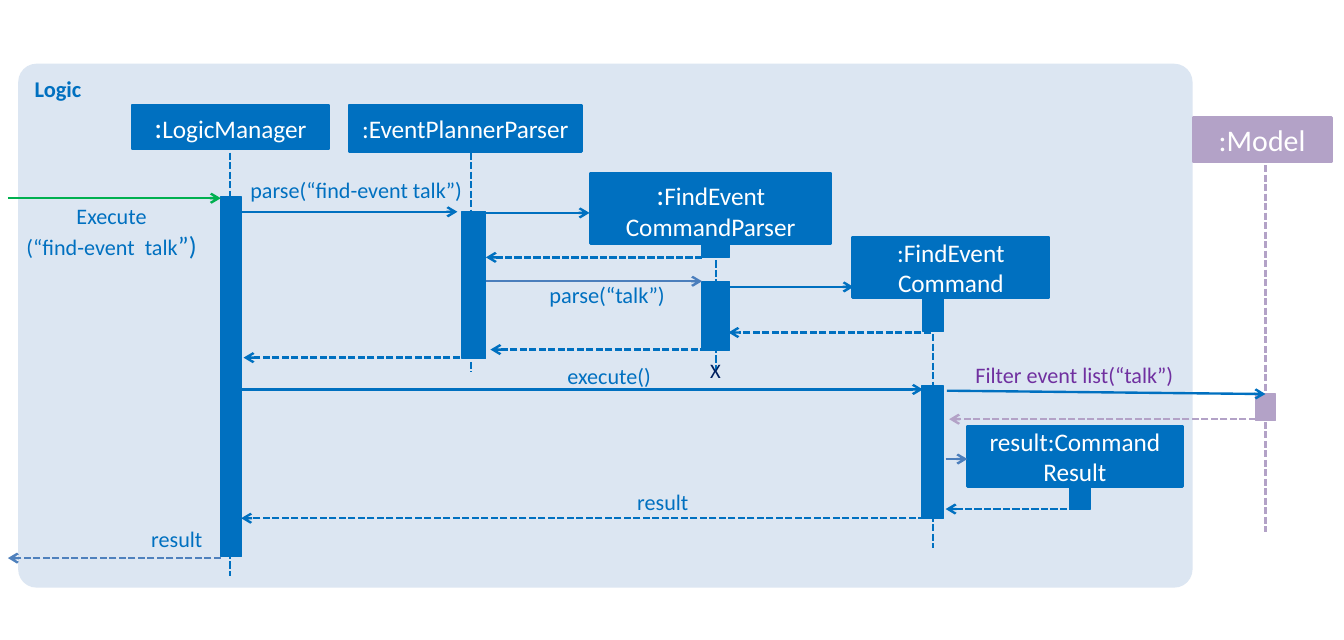
"""Build a sequence diagram slide for the find-event command."""
from lxml.etree import SubElement
from pptx import Presentation
from pptx.dml.color import RGBColor
from pptx.enum.dml import MSO_LINE
from pptx.enum.shapes import MSO_CONNECTOR, MSO_SHAPE
from pptx.enum.text import MSO_ANCHOR, PP_ALIGN
from pptx.oxml.ns import qn
from pptx.util import Pt

BLUE, PURPLE, STEEL, GREEN = "0070C0", "B3A2C7", "4B7EBC", "00B050"
LEFT, CENTER, RIGHT = PP_ALIGN.LEFT, PP_ALIGN.CENTER, PP_ALIGN.RIGHT


def write_text(frame, paragraphs, color, alignment, bold=False):
    for index, runs in enumerate(paragraphs):
        paragraph = frame.paragraphs[0] if index == 0 else frame.add_paragraph()
        paragraph.alignment = alignment
        for text, size in runs:
            run = paragraph.add_run()
            run.text = text
            font_format = {"name": "Calibri", "size": Pt(size), "bold": bold}
            for attribute, value in font_format.items():
                setattr(run.font, attribute, value)
            run.font.color.rgb = RGBColor.from_string(color)


def add_line(start_x, start_y, end_x, end_y, color, dashed, arrow):
    points = [Pt(value) for value in (start_x, start_y, end_x, end_y)]
    connector = slide.shapes.add_connector(MSO_CONNECTOR.STRAIGHT, *points)
    connector.line.color.rgb = RGBColor.from_string(color)
    connector.line.width = Pt(1.5)
    if dashed:
        connector.line.dash_style = MSO_LINE.SQUARE_DOT
    properties = connector._element.spPr
    if arrow:
        SubElement(properties.find(qn("a:ln")), qn("a:tailEnd"), type="arrow")
    SubElement(properties, qn("a:effectLst"))


presentation = Presentation()
presentation.slide_width, presentation.slide_height = Pt(850.3), Pt(404.6)
slide = presentation.slides.add_slide(presentation.slide_layouts[6])

logic_frame = slide.shapes.add_shape(
    MSO_SHAPE.ROUNDED_RECTANGLE, Pt(11.5), Pt(40.3), Pt(743), Pt(331.2))
logic_frame.adjustments[0] = 0.035
logic_frame.shadow.inherit = False
logic_frame.fill.solid()
logic_frame.fill.fore_color.rgb = RGBColor.from_string("DCE6F2")
logic_frame.line.fill.background()
logic_frame.text_frame.vertical_anchor = MSO_ANCHOR.TOP
write_text(logic_frame.text_frame, [[("Logic", 14.2)]], BLUE, LEFT, bold=True)

lifelines = [
    (145.4, 96.5, 364.3, BLUE),
    (298.1, 96.5, 235.4, BLUE),
    (452.9, 152.6, 234, BLUE),
    (590.4, 187.2, 346.3, BLUE),
    (800.6, 104.4, 336.2, PURPLE),
]
for x, top, bottom, color in lifelines:
    add_line(x, top, x, bottom, color, dashed=True, arrow=False)

activations = [
    (139.7, 124.6, 13, 227.5, BLUE),
    (292.3, 133.9, 15.1, 92.9, BLUE),
    (444.2, 152.6, 17.3, 10.1, BLUE),
    (444.2, 177.8, 17.3, 43.9, BLUE),
    (583.9, 187.2, 13, 22.3, BLUE),
    (583.2, 244.1, 13.7, 83.5, BLUE),
    (676.8, 307.4, 13, 14.4, BLUE),
    (794.2, 249.1, 13, 16.6, PURPLE),
]
participants = [
    (83.5, 66.2, 124.6, 28.1, BLUE, [[(":", 18.9), ("LogicManager", 16)]]),
    (221, 66.2, 146.9, 29.5, BLUE, [[(":EventPlannerParser", 16)]]),
    (373.7, 109.4, 151.9, 44.6, BLUE,
     [[(":", 18.9), ("FindEvent", 16)], [("CommandParser", 16)]]),
    (539.3, 149.8, 124.6, 38.2, BLUE, [[(":FindEvent", 16)], [("Command", 16)]]),
    (612, 269.3, 136.1, 38.2, BLUE, [[("result:Command Result", 16)]]),
    (754.6, 74.2, 87.8, 28.1, PURPLE, [[(":Model", 18.9)]]),
]
for left, top, width, height, color, *paragraphs in activations + participants:
    block = slide.shapes.add_shape(
        MSO_SHAPE.RECTANGLE, Pt(left), Pt(top), Pt(width), Pt(height))
    block.shadow.inherit = False
    block.fill.solid()
    block.fill.fore_color.rgb = RGBColor.from_string(color)
    block.line.color.rgb = RGBColor.from_string(color)
    block.line.width = Pt(1.5 if paragraphs else 0.75)
    if paragraphs:
        block.text_frame.word_wrap = True
        block.text_frame.vertical_anchor = MSO_ANCHOR.MIDDLE
        write_text(block.text_frame, paragraphs[0], "FFFFFF", CENTER)

messages = [
    (5, 125.3, 139.7, 125.3, GREEN),
    (152.6, 133.9, 289.4, 133.9, BLUE),
    (303.1, 134.6, 373, 134.6, BLUE),
    (444.2, 162.7, 307.4, 162.7, BLUE),
    (307.4, 177.8, 444.2, 177.8, STEEL),
    (460.8, 181.4, 540, 181.4, BLUE),
    (589, 210.2, 460.8, 210.2, BLUE),
    (453.6, 221, 310.3, 221, BLUE),
    (290.9, 226.1, 154.1, 226.1, BLUE),
    (152.6, 246.2, 583.9, 246.2, BLUE),
    (599, 247, 800.6, 249.1, BLUE),
    (800.6, 265, 600.5, 265, PURPLE),
    (598.3, 290.2, 612, 290.2, STEEL),
    (681.1, 321.8, 598.3, 321.8, BLUE),
    (585.4, 327.6, 152.6, 327.6, BLUE),
    (139.7, 352.8, 5, 352.8, "4F81BD"),
]
for start_x, start_y, end_x, end_y, color in messages:
    is_return = end_x < start_x
    add_line(start_x, start_y, end_x, end_y, color, dashed=is_return, arrow=True)

labels = [
    (-15.8, 128.2, 172.8, 36.7, BLUE, CENTER,
     [[("Execute", 14)], [("(“find-event  talk", 14), ("”)", 16.5)]]),
    (149.8, 111.6, 142.6, 17.3, BLUE, RIGHT, [[("parse(“find-event talk”)", 14)]]),
    (340.6, 177.8, 79.9, 17.3, BLUE, RIGHT, [[("parse(“talk”)", 14.2)]]),
    (338.4, 229, 73.4, 17.3, BLUE, RIGHT, [[("execute()", 14)]]),
    (599.8, 228.2, 142.6, 17.3, "7030A0", RIGHT, [[("Filter event list(“talk”)", 14)]]),
    (382.3, 308.9, 53.3, 17.3, BLUE, RIGHT, [[("result", 14)]]),
    (62.6, 331.9, 65.5, 17.3, BLUE, RIGHT, [[("result", 14)]]),
    (449.3, 226.1, 12, 15.8, "002060", LEFT, [[("X", 13)]]),
]
for left, top, width, height, color, alignment, paragraphs in labels:
    label = slide.shapes.add_textbox(Pt(left), Pt(top), Pt(width), Pt(height))
    frame_format = {"word_wrap": True, "margin_left": 0, "margin_right": 0,
                    "margin_top": 0, "margin_bottom": 0}
    for attribute, value in frame_format.items():
        setattr(label.text_frame, attribute, value)
    write_text(label.text_frame, paragraphs, color, alignment)

presentation.save("out.pptx")
